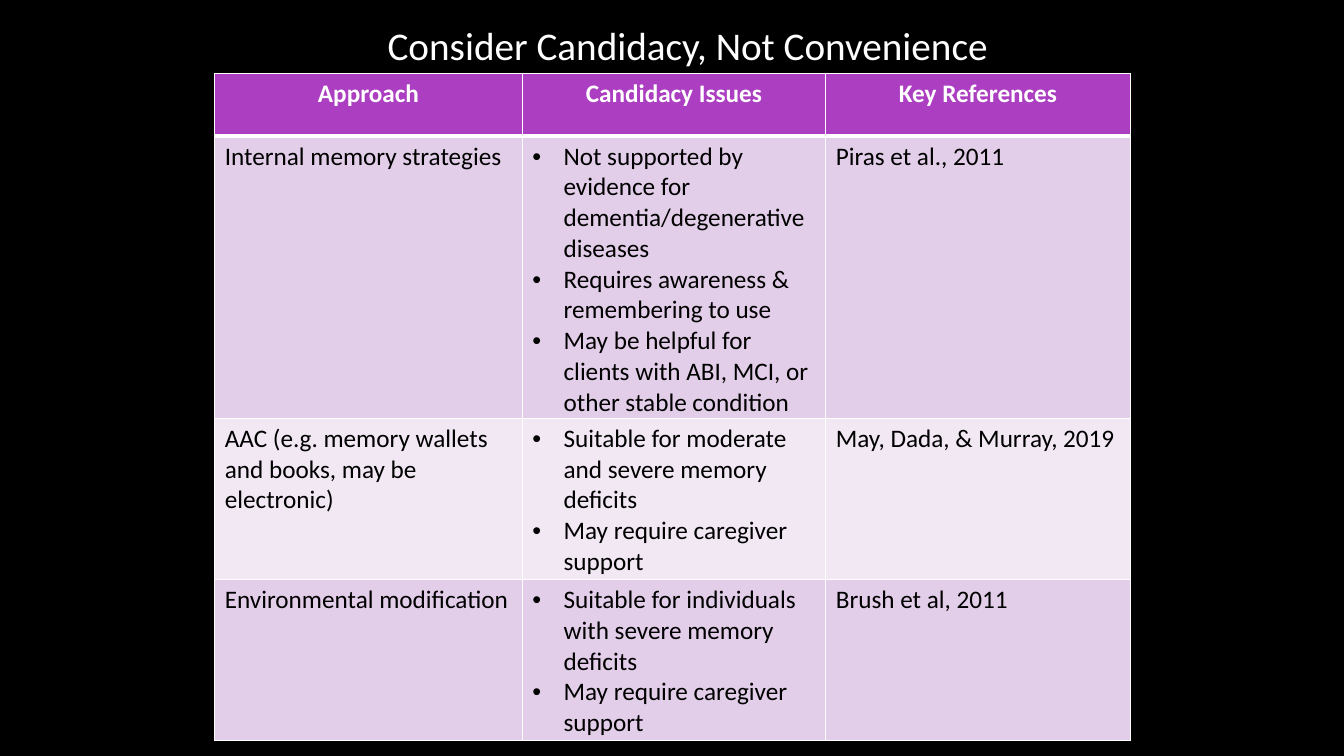
from lxml.etree import SubElement
from pptx import Presentation
from pptx.dml.color import RGBColor
from pptx.enum.text import MSO_AUTO_SIZE, PP_ALIGN
from pptx.oxml.ns import qn
from pptx.util import Inches, Pt

BLACK = RGBColor(0x00, 0x00, 0x00)
WHITE = RGBColor(0xFF, 0xFF, 0xFF)
PURPLE = RGBColor(0xAC, 0x3E, 0xC1)
LILAC = RGBColor(0xE3, 0xCE, 0xE9)
PALE_LILAC = RGBColor(0xF1, 0xE8, 0xF4)

FONT = "Calibri"
TITLE = "Consider Candidacy, Not Convenience"
HEADINGS = ["Approach", "Candidacy Issues", "Key References"]
APPROACHES = [
    (
        "Internal memory strategies",
        [
            "Not supported by evidence for dementia/degenerative diseases",
            "Requires awareness & remembering to use",
            "May be helpful for clients with ABI, MCI, or other stable condition",
        ],
        "Piras et al., 2011",
    ),
    (
        "AAC (e.g. memory wallets and books, may be electronic)",
        [
            "Suitable for moderate and severe memory deficits",
            "May require caregiver support",
        ],
        "May, Dada, & Murray, 2019",
    ),
    (
        "Environmental modification",
        [
            "Suitable for individuals with severe memory deficits",
            "May require caregiver support",
        ],
        "Brush et al, 2011",
    ),
]
COLUMN_WIDTHS = [3.05, 3.01, 3.02]
ROW_HEIGHTS = [0.62, 2.8, 1.6, 1.6]


def add_run(paragraph, text, size, color, bold=False):
    run = paragraph.add_run()
    run.text = text
    run.font.name = FONT
    run.font.size = Pt(size)
    run.font.bold = bold
    run.font.color.rgb = color


def add_bullet(paragraph):
    properties = paragraph._p.get_or_add_pPr()
    properties.set("marL", str(Inches(0.31)))
    properties.set("indent", str(Inches(-0.31)))
    SubElement(properties, qn("a:buFont")).set("typeface", "Arial")
    SubElement(properties, qn("a:buChar")).set("char", "•")


def set_borders(cell, top, bottom):
    properties = cell._tc.get_or_add_tcPr()
    for side, width in (("L", 1), ("R", 1), ("T", top), ("B", bottom)):
        line = SubElement(properties, qn(f"a:ln{side}"), w=str(Pt(width)))
        fill = SubElement(line, qn("a:solidFill"))
        SubElement(fill, qn("a:srgbClr")).set("val", str(WHITE))


def style_cell(cell, color, top=1, bottom=1):
    set_borders(cell, top, bottom)
    cell.fill.solid()
    cell.fill.fore_color.rgb = color
    cell.margin_left = cell.margin_right = Inches(0.1)
    cell.margin_top = Inches(0.05)
    cell.margin_bottom = 0


def fill_heading(cell, text):
    style_cell(cell, PURPLE, bottom=3)
    paragraph = cell.text_frame.paragraphs[0]
    paragraph.alignment = PP_ALIGN.CENTER
    add_run(paragraph, text, 18, WHITE, bold=True)


def fill_body(cell, content, row):
    style_cell(cell, LILAC if row % 2 else PALE_LILAC, top=3 if row == 1 else 1)
    bulleted = isinstance(content, list)
    frame = cell.text_frame
    for index, text in enumerate(content if bulleted else [content]):
        paragraph = frame.add_paragraph() if index else frame.paragraphs[0]
        if bulleted:
            add_bullet(paragraph)
        add_run(paragraph, text, 18, BLACK)


def add_title(slide):
    box = slide.shapes.add_textbox(Inches(2.68), Inches(0.16), Inches(8.28), Inches(0.57))
    frame = box.text_frame
    frame.word_wrap = True
    frame.auto_size = MSO_AUTO_SIZE.SHAPE_TO_FIT_TEXT
    paragraph = frame.paragraphs[0]
    paragraph.alignment = PP_ALIGN.CENTER
    add_run(paragraph, TITLE, 28, WHITE)


def add_candidacy_table(slide):
    table = slide.shapes.add_table(
        len(ROW_HEIGHTS), len(COLUMN_WIDTHS), Inches(2.13), Inches(0.73),
        Inches(sum(COLUMN_WIDTHS)), Inches(sum(ROW_HEIGHTS)),
    ).table
    for column, width in zip(table.columns, COLUMN_WIDTHS):
        column.width = Inches(width)
    for row, height in zip(table.rows, ROW_HEIGHTS):
        row.height = Inches(height)
    for column, heading in enumerate(HEADINGS):
        fill_heading(table.cell(0, column), heading)
    for row, approach in enumerate(APPROACHES, start=1):
        for column, content in enumerate(approach):
            fill_body(table.cell(row, column), content, row)


def main():
    presentation = Presentation()
    presentation.slide_width = Inches(13.33)
    presentation.slide_height = Inches(7.5)
    slide = presentation.slides.add_slide(presentation.slide_layouts[6])
    slide.background.fill.solid()
    slide.background.fill.fore_color.rgb = BLACK
    add_title(slide)
    add_candidacy_table(slide)
    presentation.save("out.pptx")


if __name__ == "__main__":
    main()
